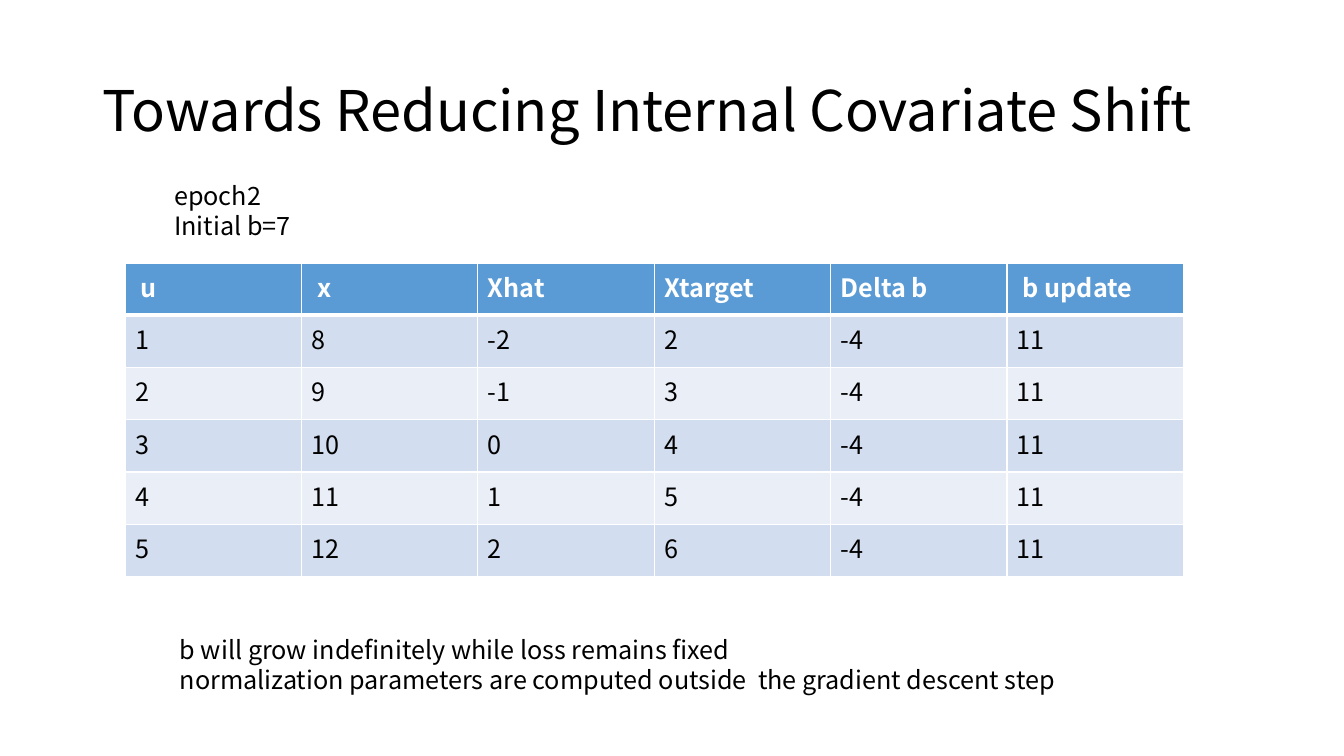
from dataclasses import dataclass

from lxml import etree
from pptx import Presentation
from pptx.dml.color import RGBColor
from pptx.enum.text import MSO_ANCHOR, MSO_AUTO_SIZE
from pptx.oxml.ns import qn
from pptx.util import Cm, Pt

MIDDLE, TOP = MSO_ANCHOR.MIDDLE, MSO_ANCHOR.TOP
GROW, FIXED = MSO_AUTO_SIZE.SHAPE_TO_FIT_TEXT, MSO_AUTO_SIZE.NONE


@dataclass(frozen=True)
class Theme:
    font: str = "Noto Sans CJK KR"
    ink: str = "000000"
    white: str = "FFFFFF"
    header: str = "5B9BD5"
    bands: tuple = ("D2DEEF", "EAEFF7")
    title_size: int = 40
    body_size: int = 18
    thin_rule: int = 1
    header_rule: int = 3


THEME = Theme()

# Training values: u, x = u + b, the normalised x, its target, and the update of b
INITIAL_B, DELTA_B, MEAN_U = 7, -4, 3
HEADINGS = [" u", " x", "Xhat", "Xtarget", "Delta b", " b update"]
EPOCH_ROWS = [
    [u, u + INITIAL_B, u - MEAN_U, u + 1, DELTA_B, INITIAL_B - DELTA_B]
    for u in range(1, 6)
]


def write_text(frame, lines, *, size=THEME.body_size, color=THEME.ink,
               bold=False, line_spacing=None):
    for index, line in enumerate(lines):
        para = frame.add_paragraph() if index else frame.paragraphs[0]
        if line_spacing:
            para.line_spacing = line_spacing
        span = para.add_run()
        span.text = line
        span.font.name = THEME.font
        span.font.size = Pt(size)
        span.font.bold = bold
        span.font.color.rgb = RGBColor.from_string(color)


def add_text_box(page, left, top, width, height, lines, *, wrap=False,
                 anchor=TOP, **text_format):
    box = page.shapes.add_textbox(Cm(left), Cm(top), Cm(width), Cm(height))
    frame = box.text_frame
    frame.word_wrap = wrap
    frame.auto_size = FIXED if wrap else GROW
    frame.vertical_anchor = anchor
    write_text(frame, lines, **text_format)


def set_borders(cell, **widths):
    properties = cell._tc.get_or_add_tcPr()
    for position, (side, width) in enumerate(widths.items()):
        line = etree.Element(qn(f"a:ln{side}"), w=str(Pt(width)))
        fill = etree.SubElement(line, qn("a:solidFill"))
        etree.SubElement(fill, qn("a:srgbClr"), val=THEME.white)
        properties.insert(position, line)


def add_epoch_table(page, left, top, width, height):
    rows = [HEADINGS, *EPOCH_ROWS]
    table = page.shapes.add_table(
        len(rows), len(HEADINGS), Cm(left), Cm(top), Cm(width), Cm(height)
    ).table
    for r, values in enumerate(rows):
        is_header = r == 0
        background = THEME.header if is_header else THEME.bands[(r - 1) % 2]
        for c, value in enumerate(values):
            cell = table.cell(r, c)
            cell.fill.solid()
            cell.fill.fore_color.rgb = RGBColor.from_string(background)
            write_text(cell.text_frame, [str(value)], bold=is_header,
                       color=THEME.white if is_header else THEME.ink)
            set_borders(
                cell, L=THEME.thin_rule, R=THEME.thin_rule,
                T=THEME.header_rule if r == 1 else THEME.thin_rule,
                B=THEME.header_rule if is_header else THEME.thin_rule)


def main():
    deck = Presentation()
    deck.slide_width, deck.slide_height = Cm(33.87), Cm(19.05)
    page = deck.slides.add_slide(deck.slide_layouts[6])

    # Title
    add_text_box(page, 2.33, 1.01, 29.21, 3.68,
                 ["Towards Reducing Internal Covariate Shift"],
                 wrap=True, anchor=MIDDLE, size=THEME.title_size,
                 line_spacing=0.9)

    # Epoch values
    add_epoch_table(page, 3.15, 6.63, 26.67, 7.9)

    # Notes above and below the table
    add_text_box(page, 4.14, 4.42, 3.48, 1.8,
                 ["epoch2", f"Initial b={INITIAL_B}"])
    add_text_box(page, 4.14, 15.85, 22.78, 1.8, [
        " b will grow indefinitely while loss remains fixed",
        " normalization parameters are computed outside  the gradient descent step",
    ])

    deck.save("out.pptx")


if __name__ == "__main__":
    main()
